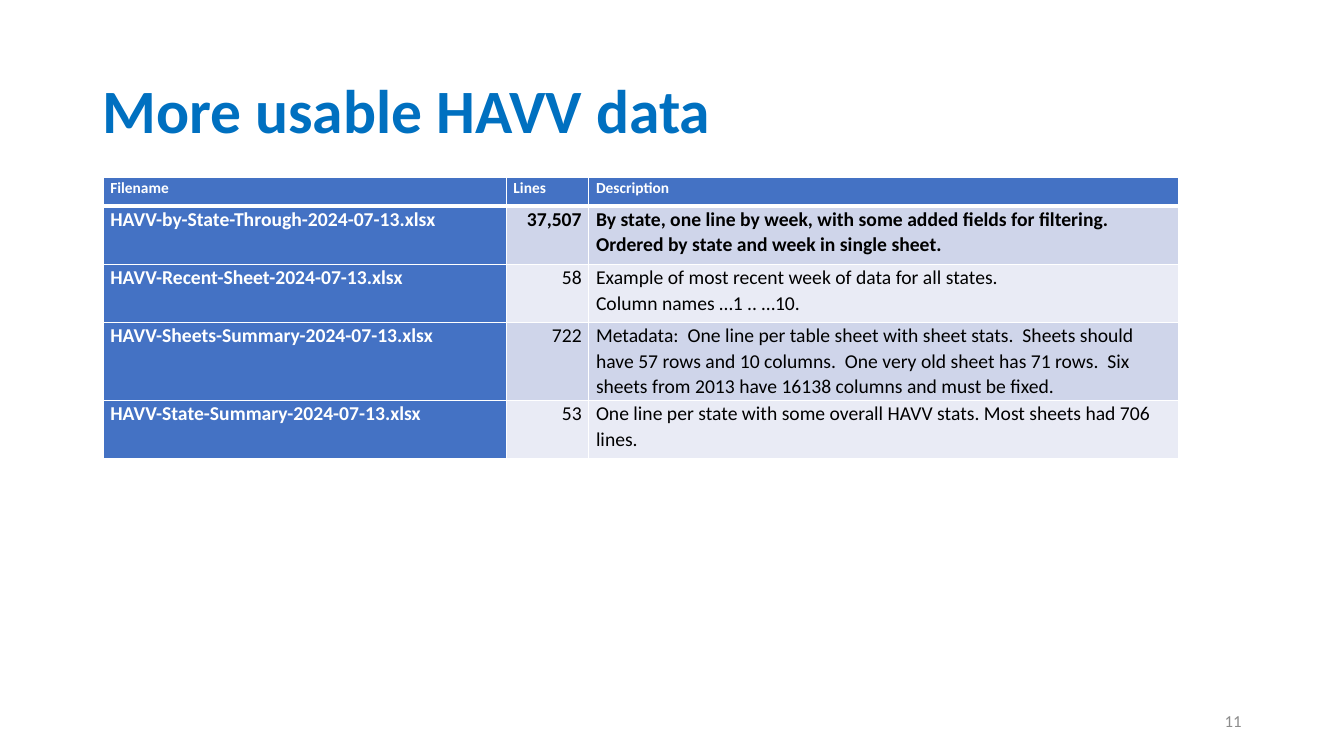
from dataclasses import dataclass

from lxml import etree
from pptx import Presentation
from pptx import util as u
from pptx.dml.color import RGBColor
from pptx.enum import text
from pptx.oxml import ns

FONT = "Calibri"
AZURE = RGBColor(0x00, 0x70, 0xC0)
BLUE = RGBColor(0x44, 0x72, 0xC4)
BANDS = (RGBColor(0xCF, 0xD5, 0xEA), RGBColor(0xE9, 0xEB, 0xF5))
WHITE = RGBColor(0xFF, 0xFF, 0xFF)
BLACK = RGBColor(0x00, 0x00, 0x00)
GREY = RGBColor(0x8C, 0x8C, 0x8C)
LEFT, RIGHT = text.PP_ALIGN.LEFT, text.PP_ALIGN.RIGHT


@dataclass
class Style:
    size: float
    color: RGBColor
    bold: bool = False
    align: text.PP_ALIGN = LEFT
    space: float = 1.0


@dataclass
class Label:
    words: str
    left: float
    top: float
    width: float
    height: float
    style: Style


@dataclass
class Entry:
    name: str
    lines: str
    about: tuple[str, ...]
    height: float
    bold: bool = False


LABELS = [
    Label("More usable HAVV data", 2.33, 1.01, 29.21, 3.68,
          Style(44, AZURE, True, space=0.9)),
    Label("11", 23.92, 17.65, 7.62, 1.02, Style(12, GREY, align=RIGHT)),
]
WIDTHS = (10.16, 2.08, 14.86)
HEAD = Entry("Filename", "Lines", ("Description",), 0.71)
FILES = [
    Entry("HAVV-by-State-Through-2024-07-13.xlsx", "37,507",
          ("By state, one line by week, with some added fields for filtering.  "
           "Ordered by state and week in single sheet.",), 1.47, True),
    Entry("HAVV-Recent-Sheet-2024-07-13.xlsx", "58",
          ("Example of most recent week of data for all states.",
           "Column names …1 .. …10."), 1.47),
    Entry("HAVV-Sheets-Summary-2024-07-13.xlsx", "722",
          ("Metadata:  One line per table sheet with sheet stats.  Sheets should "
           "have 57 rows and 10 columns.  One very old sheet has 71 rows.  Six "
           "sheets from 2013 have 16138 columns and must be fixed.",), 1.96),
    Entry("HAVV-State-Summary-2024-07-13.xlsx", "53",
          ("One line per state with some overall HAVV stats. "
           "Most sheets had 706 lines.",), 1.47),
]


def write(frame, rows: tuple[str, ...], style: Style) -> None:
    para = frame.paragraphs[0]
    para.alignment = style.align
    para.line_spacing = style.space
    for i, row in enumerate(rows):
        if i:
            para.add_line_break()
        run = para.add_run()
        run.text = row
        run.font.name = FONT
        run.font.size = u.Pt(style.size)
        run.font.bold = style.bold
        run.font.color.rgb = style.color


def add_label(slide, label: Label) -> None:
    box = slide.shapes.add_textbox(u.Cm(label.left), u.Cm(label.top),
                                   u.Cm(label.width), u.Cm(label.height))
    frame = box.text_frame
    frame.word_wrap = True
    frame.vertical_anchor = text.MSO_ANCHOR.MIDDLE
    write(frame, (label.words,), label.style)


def edge(cell, top: float, base: float) -> None:
    props = cell._tc.get_or_add_tcPr()
    sides = (("L", 1), ("R", 1), ("T", top), ("B", base))
    for i, (side, width) in enumerate(sides):
        line = etree.Element(ns.qn(f"a:ln{side}"), w=str(u.Pt(width)))
        fill = etree.SubElement(line, ns.qn("a:solidFill"))
        etree.SubElement(fill, ns.qn("a:srgbClr"), val=str(WHITE))
        props.insert(i, line)


def fill_cell(cell, rows: tuple[str, ...], fill: RGBColor, style: Style) -> None:
    cell.margin_left = cell.margin_right = u.Cm(0.18)
    cell.margin_top = cell.margin_bottom = 0
    cell.fill.solid()
    cell.fill.fore_color.rgb = fill
    write(cell.text_frame, rows, style)


def add_files(slide) -> None:
    entries = [HEAD, *FILES]
    high = sum(entry.height for entry in entries)
    grid = slide.shapes.add_table(len(entries), len(WIDTHS), u.Cm(2.6), u.Cm(4.48),
                                  u.Cm(sum(WIDTHS)), u.Cm(high)).table
    grid.first_col = True
    for col, width in zip(grid.columns, WIDTHS):
        col.width = u.Cm(width)
    for r, entry in enumerate(entries):
        grid.rows[r].height = u.Cm(entry.height)
        for c, rows in enumerate(((entry.name,), (entry.lines,), entry.about)):
            head = r == 0
            key = head or c == 0
            style = Style(11 if head else 14, WHITE if key else BLACK,
                          key or entry.bold,
                          RIGHT if c == 1 and not head else LEFT, 1.07)
            cell = grid.cell(r, c)
            fill_cell(cell, rows, BLUE if key else BANDS[(r - 1) % 2], style)
            # Thick rule under the header row
            edge(cell, 3 if r == 1 else 1, 3 if head else 1)


def main() -> None:
    deck = Presentation()
    deck.slide_width, deck.slide_height = u.Cm(33.87), u.Cm(19.05)
    slide = deck.slides.add_slide(deck.slide_layouts[6])
    # Title and page number
    for label in LABELS:
        add_label(slide, label)
    # Table of files
    add_files(slide)
    deck.save("out.pptx")


if __name__ == "__main__":
    main()
